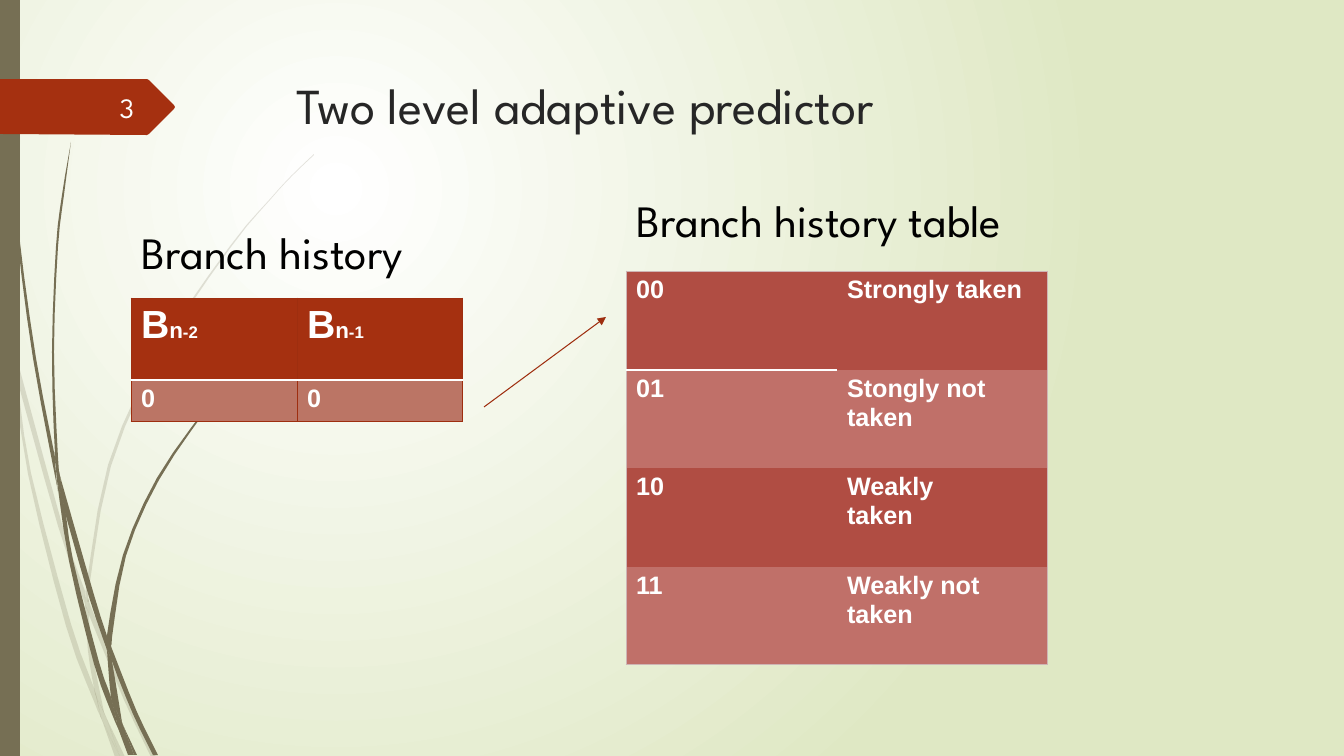
from lxml.etree import SubElement
from pptx import Presentation
from pptx.dml.color import RGBColor
from pptx.enum.shapes import MSO_CONNECTOR
from pptx.enum.text import MSO_ANCHOR, PP_ALIGN
from pptx.oxml.ns import qn
from pptx.util import Pt
from pptx.enum.shapes import MSO_SHAPE

T = dict(
    heading="League Spartan", body="Arial",
    title=36, label=32, number=20, big=28, sub=16, index=12, cell=18,
    olive="766F54", rust="A53010", rust_line="9E2E0F", rust_soft="BB7565",
    red="B04D43", red_soft="C07069", frame="CEB5B5",
    white="FFFFFF", near_white="FEFFFF", black="000000", dark="262626",
    bg=("FFFFFF", "DFE8C4"))

TITLE = "Two level adaptive predictor"
LABELS = [("Branch history", (132, 220, 357, 65)),
          ("Branch history table", (627, 188, 463, 65))]
HISTORY = [[[("B", "big"), ("n", "sub"), (end, "index")] for end in ("-2", "-1")],
           ["0", "0"]]
PREDICTIONS = [["00", "Strongly taken"], ["01", "Stongly not taken"],
               ["10", "Weakly\ntaken"], ["11", "Weakly not taken"]]
ARROW = (484, 407, 606, 317)
TAG = [(0, 79), (147, 79), (149, 80), (174, 105), (175, 107), (174, 109),
       (149, 134), (147, 135), (0, 134)]

# Pieces of the grass stems: one edge out, the other edge back
PALE_STEMS = [
    ([(11, 353), (9, 325), (0, 284)], [(0, 301), (10, 347), (11, 353)]),
    ([(17, 379), (58, 526), (85, 604)], [(85, 591), (62, 524), (14, 348)]),
    ([(89, 615), (124, 700), (151, 757)],
     [(156, 757), (128, 698), (93, 612), (89, 601)]),
    ([(106, 717), (120, 757)], [(125, 757), (106, 717)]),
    ([(11, 353), (28, 474), (66, 626), (93, 699), (102, 720)],
     [(100, 713), (94, 688), (71, 624), (31, 473), (17, 379), (11, 353)]),
    ([(85, 604), (88, 651), (94, 688), (97, 698), (106, 717)],
     [(104, 712), (92, 651), (89, 615), (89, 613), (85, 604)]),
    ([(89, 601), (89, 589), (111, 466), (161, 352), (231, 247), (270, 200),
      (292, 176), (314, 155)],
     [(314, 154), (291, 176), (270, 199), (230, 246), (159, 351), (108, 465),
      (86, 589), (86, 591), (89, 601)]),
    ([(102, 720), (115, 757)], [(120, 757), (102, 720)]),
    ([(89, 613), (89, 615), (89, 601)], [(86, 591), (85, 604), (89, 613)]),
    ([(94, 688), (100, 713), (102, 720), (120, 757)],
     [(120, 757), (106, 717), (97, 698), (94, 688)])]
DARK_STEMS = [
    ([(3, 0), (4, 48), (7, 111), (17, 235), (33, 358), (56, 481), (57, 485)],
     [(55, 461), (55, 457), (36, 358), (19, 234), (8, 110), (5, 48), (4, 0)]),
    ([(64, 509), (89, 597), (107, 650)],
     [(107, 638), (107, 636), (94, 595), (60, 476)]),
    ([(111, 646), (112, 661), (133, 714), (153, 755)],
     [(158, 755), (137, 712), (114, 654), (111, 646)]),
    ([(57, 481), (69, 561), (94, 664), (112, 714), (118, 728)],
     [(117, 723), (111, 697), (99, 662), (73, 560), (65, 509), (57, 481)]),
    ([(60, 476), (58, 457), (54, 352), (58, 247), (64, 195), (71, 142)],
     [(71, 142), (62, 195), (56, 247), (52, 352), (55, 453), (60, 476)]),
    ([(123, 725), (134, 755)], [(137, 755), (123, 725)]),
    ([(57, 481), (65, 509)], [(60, 476), (55, 453), (55, 457), (57, 481)]),
    ([(112, 638), (126, 556), (159, 480), (207, 409), (233, 377), (247, 362),
      (263, 347)],
     [(262, 347), (247, 361), (233, 376), (206, 408), (157, 478), (123, 555),
      (107, 636), (111, 646), (112, 638)]),
    ([(118, 728), (128, 755)], [(132, 755), (118, 728)]),
    ([(107, 650), (111, 697), (117, 712), (123, 725)],
     [(122, 722), (112, 661), (110, 656), (107, 650)]),
    ([(107, 650), (110, 656), (112, 661)],
     [(111, 646), (107, 636), (107, 638), (107, 650)]),
    ([(111, 697), (117, 723), (118, 728), (131, 755)],
     [(134, 755), (123, 725), (117, 712), (111, 697)])]


def px(n):
    """Turn pixels into EMU."""
    return round(n * 914400 / 100.8)


def rgb(name):
    """Look up a theme colour."""
    return RGBColor.from_string(T[name])


def paint(sp, color, alpha=None):
    """Fill a shape flat, with no line or shadow."""
    sp.shadow.inherit = False
    sp.fill.solid()
    sp.fill.fore_color.rgb = rgb(color)
    sp.line.fill.background()
    if alpha:
        clr = sp._element.spPr.find(qn("a:solidFill"))[0]
        SubElement(clr, qn("a:alpha"), val=str(alpha * 1000))


def write(tf, text, size="cell", color="white", font="heading", bold=False,
          align=PP_ALIGN.LEFT, anchor=MSO_ANCHOR.TOP):
    """Write a string, or a list of (text, size) runs, into a text frame."""
    tf.word_wrap = True
    tf.vertical_anchor = anchor
    lines = ([[(line, size)] for line in text.split("\n")]
             if isinstance(text, str) else [text])
    for i, runs in enumerate(lines):
        p = tf.add_paragraph() if i else tf.paragraphs[0]
        p.alignment = align
        for part, part_size in runs:
            r = p.add_run()
            r.text = part
            r.font.size, r.font.name, r.font.bold = Pt(T[part_size]), T[font], bold
            r.font.color.rgb = rgb(color)


def text_box(s, text, box, **fmt):
    """Add a text box at a pixel box."""
    write(s.shapes.add_textbox(*map(px, box)).text_frame, text, **fmt)


def smooth(pts, steps=3):
    """Sample a Catmull-Rom curve through the points."""
    ends = [pts[0], *pts, pts[-1]]
    return [tuple((2 * q + (r - o) * t + (2 * o - 5 * q + 4 * r - e) * t ** 2
                   + (3 * q - o - 3 * r + e) * t ** 3) / 2
                  for o, q, r, e in zip(a, b, c, d))
            for a, b, c, d in zip(ends, ends[1:], ends[2:], ends[3:])
            for t in (k / steps for k in range(steps))] + [pts[-1]]


def outline(s, pts, color, alpha=None):
    """Draw a closed outline through pixel points."""
    first, *rest = [(px(x), px(y)) for x, y in pts]
    fb = s.shapes.build_freeform(*first)
    fb.add_line_segments(rest, close=True)
    paint(fb.convert_to_shape(), color, alpha)


def borders(cell, sides):
    """Set cell borders from {side: (colour, points)}."""
    tcPr = cell._tc.get_or_add_tcPr()
    for i, side in enumerate(side for side in "LRTB" if side in sides):
        color, width = sides[side]
        ln = SubElement(tcPr, qn("a:ln" + side), w=str(Pt(width)))
        SubElement(SubElement(ln, qn("a:solidFill")), qn("a:srgbClr"), val=T[color])
        tcPr.insert(i, ln)


def table(s, rows, left, top, col_width, heights, fills, edges):
    """Add a table; edges(row, col) gives the borders of each cell."""
    cols = len(rows[0])
    tb = s.shapes.add_table(len(rows), cols, px(left), px(top),
                            px(col_width * cols), px(sum(heights))).table
    tb.first_row = tb.horz_banding = False
    style = tb._tbl.tblPr.find(qn("a:tableStyleId"))
    style.text = "{2D5ABB26-0587-4C30-8999-92F81FD0307C}"  # no style, no grid
    for col in tb.columns:
        col.width = px(col_width)
    for i, row in enumerate(rows):
        tb.rows[i].height = px(heights[i])
        for j, text in enumerate(row):
            cell = tb.cell(i, j)
            write(cell.text_frame, text, font="body", bold=True)
            cell.fill.solid()
            cell.fill.fore_color.rgb = rgb(fills[i % len(fills)])
            borders(cell, edges(i, j))


def history_edges(i, j):
    """Thin grid, with a white rule under the header."""
    sides = dict.fromkeys("LRTB", ("rust_line", 0.75))
    sides["T" if i else "B"] = ("white", 1.25)
    return sides


def prediction_edges(i, j):
    """Outer frame, with a white rule under the first code."""
    on_edge = {"L": j == 0, "R": j == 1, "T": i == 0, "B": i == len(PREDICTIONS) - 1}
    sides = {side: ("frame", 0.75) for side, on in on_edge.items() if on}
    if (i, j) == (0, 0):
        sides["B"] = ("white", 1.75)
    return sides


def background(s):
    """Fill the background with a radial gradient."""
    fill = s.background.fill
    fill.gradient()
    for stop, color in zip(fill.gradient_stops, T["bg"]):
        stop.color.rgb = RGBColor.from_string(color)
    grad = s._element.find(".//" + qn("a:gradFill"))
    grad.remove(grad.find(qn("a:lin")))
    SubElement(SubElement(grad, qn("a:path"), path="circle"), qn("a:fillToRect"),
               l="50000", t="50000", r="100000", b="100000")


def arrow(s, ends):
    """Draw a thin line with a triangle at its end."""
    c = s.shapes.add_connector(MSO_CONNECTOR.STRAIGHT, *map(px, ends))
    c.line.color.rgb, c.line.width = rgb("rust_line"), Pt(0.75)
    SubElement(c.line._get_or_add_ln(), qn("a:tailEnd"), type="triangle")
    SubElement(c._element.spPr, qn("a:effectLst"))


prs = Presentation()
prs.slide_width, prs.slide_height = px(1344), px(756)
s = prs.slides.add_slide(prs.slide_layouts[5])
background(s)
for stems, alpha in [(PALE_STEMS, 20), (DARK_STEMS, None)]:
    for out, back in stems:
        outline(s, smooth(out) + smooth(back), "olive", alpha)
paint(s.shapes.add_shape(MSO_SHAPE.RECTANGLE, *map(px, (0, 0, 20, 756))), "olive")
outline(s, TAG, "rust")

title = s.shapes.title
title.left, title.top, title.width, title.height = map(px, (286, 69, 983, 141))
write(title.text_frame, TITLE, size="title", color="dark")
table(s, HISTORY, 131, 298, 166, (82, 41), ("rust", "rust_soft"), history_edges)
table(s, PREDICTIONS, 626, 271, 211, (99, 98, 99, 98), ("red", "red_soft"),
      prediction_edges)
arrow(s, ARROW)
for label, box in LABELS:
    text_box(s, label, box, size="label", color="black")
text_box(s, "3", (58, 87, 86, 40), size="number", color="near_white",
         align=PP_ALIGN.RIGHT, anchor=MSO_ANCHOR.MIDDLE)
prs.save("out.pptx")
